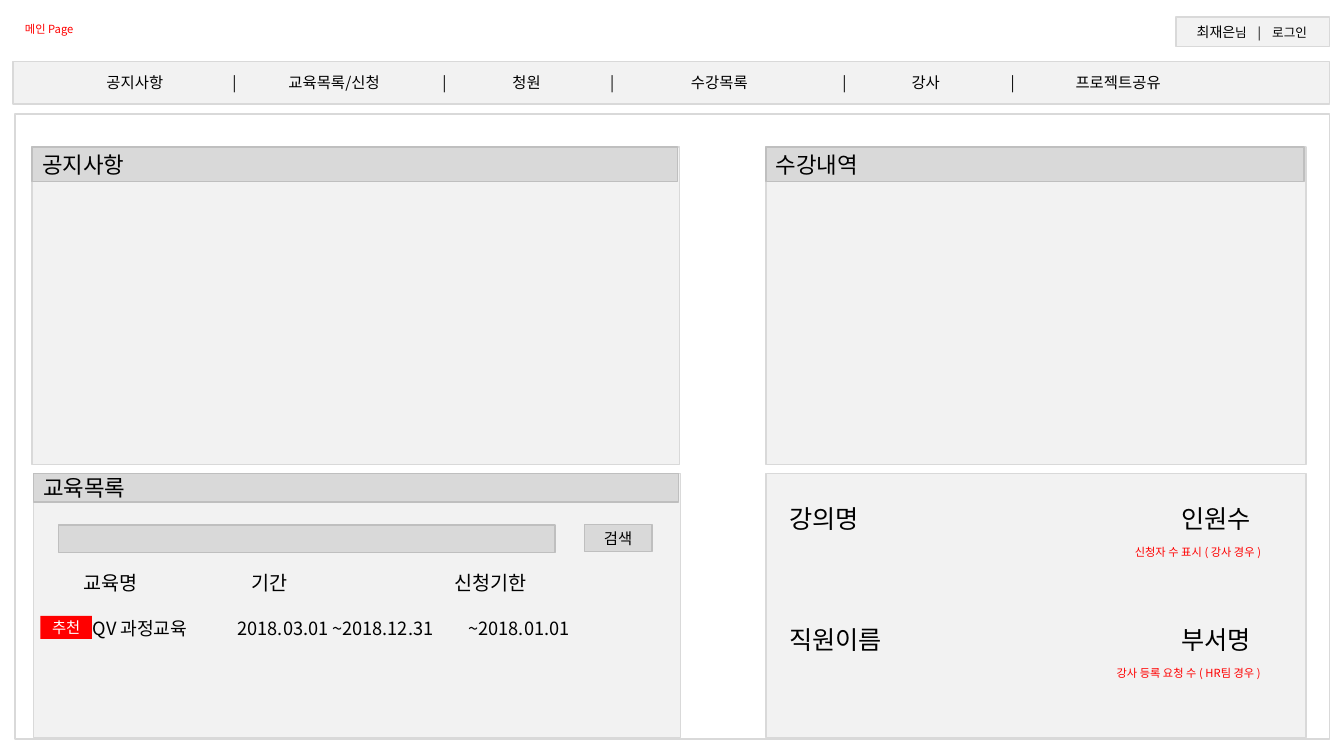
"""Build the wireframe slide of a training portal's main page."""
from lxml import etree
from pptx import Presentation
from pptx.dml.color import RGBColor
from pptx.enum.shapes import MSO_SHAPE
from pptx.enum.text import MSO_ANCHOR, PP_ALIGN
from pptx.oxml.ns import qn
from pptx.util import Cm, Pt

RECTANGLE = MSO_SHAPE.RECTANGLE
LEFT, CENTER = PP_ALIGN.LEFT, PP_ALIGN.CENTER
TOP, MIDDLE = MSO_ANCHOR.TOP, MSO_ANCHOR.MIDDLE

THEME = {
    "font": "Noto Sans CJK KR",
    "text": "000000", "accent": "FF0000", "on_accent": "FFFFFF",
    "panel": "F2F2F2", "panel_line": "D9D9D9",
    "bar": "D9D9D9", "bar_line": "BFBFBF",
    "note_size": 8, "login_size": 9, "user_size": 10, "control_size": 11,
    "row_size": 13, "column_size": 14, "header_size": 16, "summary_size": 18,
}

PANELS = [
    ("공지사항", (0.81, 3.71, 16.31, 8.0), 0.86),
    ("수강내역", (19.3, 3.71, 13.61, 8.0), 0.86),
    ("교육목록", (0.84, 11.94, 16.31, 6.65), 0.71),
    (None, (19.3, 11.94, 13.61, 6.65), 0),
]
HEADER_INSET = 0.05

USER, LOGIN = "최재은", "님\t|\t로그인"
LOGIN_BOX = (29.64, 0.43, 3.86, 0.74)
LOGIN_TABS = (0.9, 1.85, 2.61)

MENU = ["공지사항", "교육목록/신청", "청원", "수강목록", "강사", "프로젝트공유"]
MENU_BOX = (0.33, 1.55, 33.17, 1.07)
MENU_TABS = (2.82, 5.33, 7.84, 10.62, 12.69, 14.85, 17.55, 20.7, 22.75, 24.94, 27.6)

SEARCH_FIELD = (1.47, 13.23, 12.52, 0.69)
SEARCH_BUTTON = (14.73, 13.21, 1.7, 0.69)
BADGE_BOX = (1.02, 15.52, 1.3, 0.58)
COURSE_ROWS = [
    (["교육명", "기간", "신청기한"], (0.97, 14.25, 15.88, 0.86), (0.89, 5.12, 10.24), "column_size"),
    (["QV 과정교육", "2018.03.01 ~2018.12.31", "~2018.01.01"],
     (0.97, 15.44, 15.62, 0.81), (1.12, 4.77, 10.59), "row_size"),
]

SUMMARY = [("강의명", "인원수"), ("직원이름", "부서명")]
SUMMARY_BOX = (19.64, 12.55, 12.98, 4.11)
SUMMARY_TABS = (9.88,)
SUMMARY_GAP = 65

NOTES = [
    ("신청자 수 표시 ( 강사 경우 )", (28.35, 13.61, 4.01, 0.61)),
    ("강사 등록 요청 수 ( HR팀 경우 )", (27.89, 16.66, 4.78, 0.61)),
    ("메인 Page", (0.38, 0.43, 7.37, 0.61)),
]
FRAME = (0.38, 2.87, 33.12, 15.75)


def color(name):
    return RGBColor.from_string(THEME[name])


def add_box(slide, box, fill=None, line=None):
    shape = slide.shapes.add_shape(RECTANGLE, *map(Cm, box))
    shape.shadow.inherit = False
    if fill:
        shape.fill.solid()
        shape.fill.fore_color.rgb = color(fill)
    else:
        shape.fill.background()
    if line:
        shape.line.color.rgb = color(line)
        shape.line.width = Pt(1)
    else:
        shape.line.fill.background()
    return shape


def set_tabs(paragraph, positions, alignment):
    tab_list = etree.SubElement(paragraph._p.get_or_add_pPr(), qn("a:tabLst"))
    for position in positions:
        etree.SubElement(tab_list, qn("a:tab"), pos=str(Cm(position)), algn=alignment)


def write(shape, lines, size, ink="text", align=LEFT, anchor=MIDDLE, tabs=(), tab_align="l", gap=0):
    frame = shape.text_frame
    frame.word_wrap = True
    frame.vertical_anchor = anchor
    frame.text = "\n".join(lines)
    for index, paragraph in enumerate(frame.paragraphs):
        paragraph.alignment = align
        if tabs:
            set_tabs(paragraph, tabs, tab_align)
        if index:
            paragraph.space_before = Pt(gap)
        font = paragraph.font
        font.size = Pt(THEME[size])
        font.name = THEME["font"]
        font.color.rgb = color(ink)
        defaults = paragraph._p.pPr.find(qn("a:defRPr"))
        etree.SubElement(defaults, qn("a:ea"), typeface=THEME["font"])


def add_text(slide, box, lines, size, **options):
    write(slide.shapes.add_textbox(*map(Cm, box)), lines, size, anchor=TOP, **options)


def add_panel(slide, title, box, header_height):
    add_box(slide, box, "panel", "panel_line")
    if title:
        left, top, width, _ = box
        header = add_box(slide, (left, top, width - HEADER_INSET, header_height), "bar", "bar_line")
        write(header, [title], "header_size")


def add_login(slide):
    shape = add_box(slide, LOGIN_BOX, "panel", "panel_line")
    write(shape, ["\t" + USER], "user_size", tabs=LOGIN_TABS, tab_align="ctr")
    run = shape.text_frame.paragraphs[0].add_run()
    run.text = LOGIN
    run.font.size = Pt(THEME["login_size"])


def main():
    presentation = Presentation()
    presentation.slide_width, presentation.slide_height = Cm(33.87), Cm(19.05)
    slide = presentation.slides.add_slide(presentation.slide_layouts[6])

    add_login(slide)
    for panel in PANELS:
        add_panel(slide, *panel)

    add_box(slide, SEARCH_FIELD, "bar", "bar_line")
    button = add_box(slide, SEARCH_BUTTON, "bar", "bar_line")
    write(button, ["검색"], "control_size", align=CENTER)
    for cells, box, tabs, size in COURSE_ROWS:
        add_text(slide, box, ["\t" + "\t".join(cells)], size, tabs=tabs)
    badge = add_box(slide, BADGE_BOX, "accent")
    write(badge, ["추천"], "control_size", ink="on_accent", align=CENTER)

    add_text(slide, SUMMARY_BOX, ["\t".join(pair) for pair in SUMMARY], "summary_size",
             tabs=SUMMARY_TABS, gap=SUMMARY_GAP)
    for note, box in NOTES:
        add_text(slide, box, [note], "note_size", ink="accent")

    menu = add_box(slide, MENU_BOX, "panel", "panel_line")
    write(menu, ["\t" + "\t|\t".join(MENU)], "control_size", tabs=MENU_TABS, tab_align="ctr")
    add_box(slide, FRAME, line="panel_line")
    presentation.save("out.pptx")


if __name__ == "__main__":
    main()
